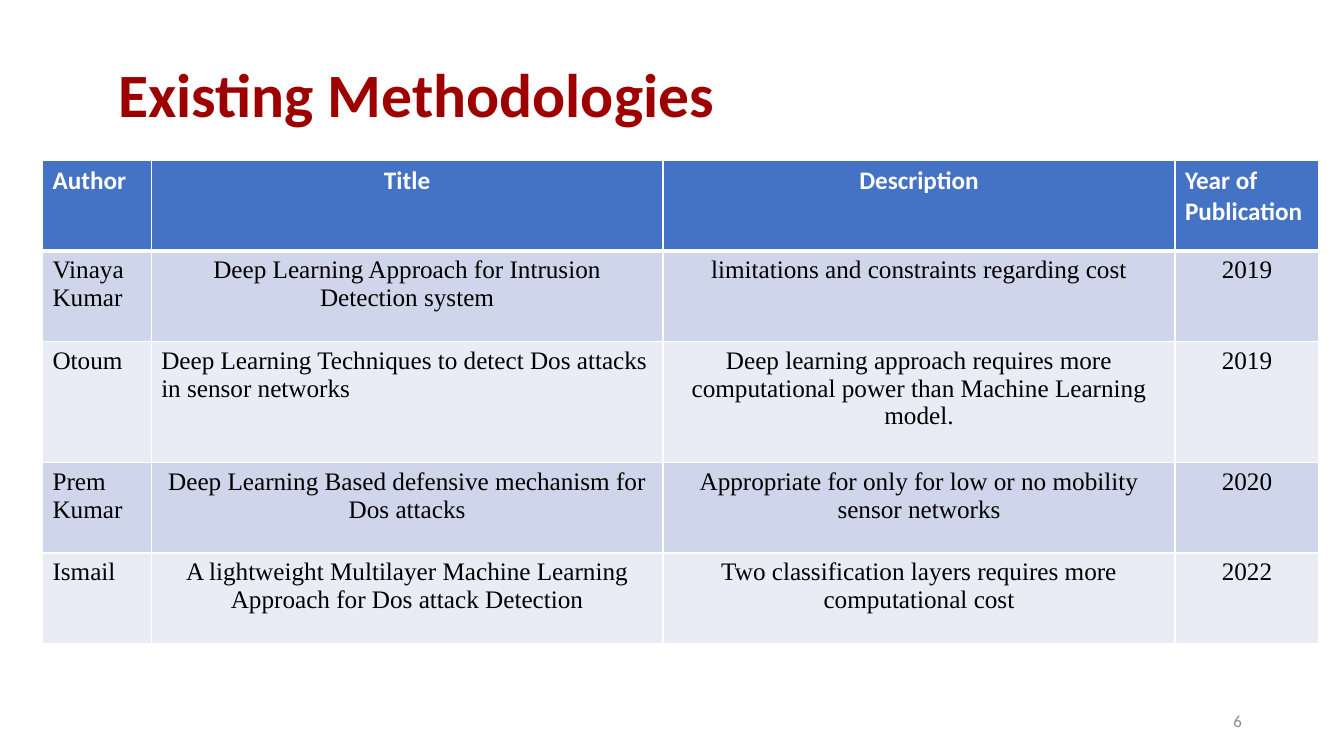
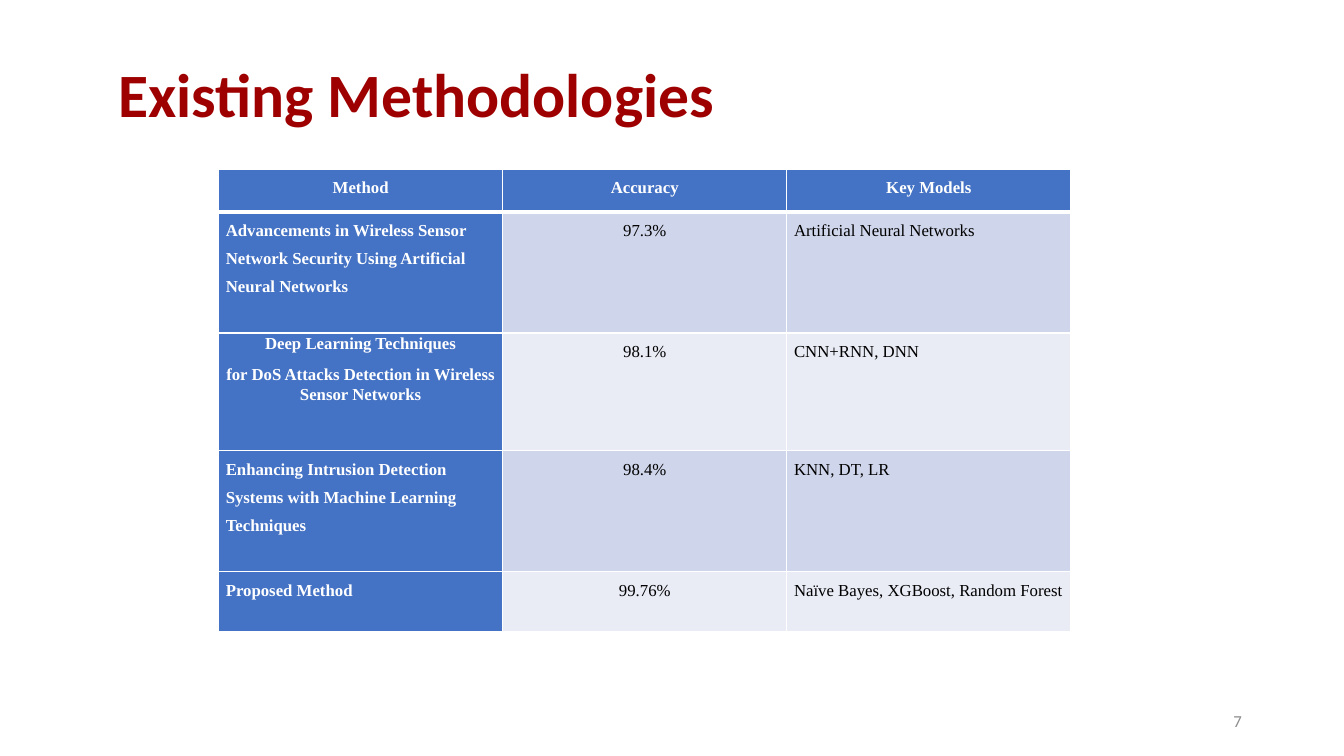
import pptx
import pptx.util
import pptx.dml.color
import pptx.enum.text
import pptx.oxml
import pptx.oxml.ns

Cm = pptx.util.Cm
Pt = pptx.util.Pt
Align = pptx.enum.text.PP_ALIGN
Anchor = pptx.enum.text.MSO_ANCHOR

COLORS = {
    "title": "9E0000",
    "number": "8C8C8C",
    "header": "4472C4",
    "band_dark": "CFD5EA",
    "band_light": "E9EBF5",
    "white": "FFFFFF",
    "black": "000000",
}

# Shared text formats
TITLE_FONT = {"name": "Calibri", "size": Pt(44), "bold": True}
NUMBER_FONT = {"name": "Calibri", "size": Pt(12), "bold": False}

# Table formats: fonts, paragraphs, cell margins and columns filled like the header
LITERATURE_STYLE = {
    "header_font": {"name": "Calibri", "size": Pt(18), "bold": True},
    "body_font": {"name": "Times New Roman", "size": Pt(18), "bold": False},
    "paragraph": {},
    "cell": {},
    "header_columns": 0,
}
ACCURACY_STYLE = {
    "header_font": {"name": "Times New Roman", "size": Pt(12), "bold": True},
    "body_font": {"name": "Times New Roman", "size": Pt(12), "bold": False},
    "paragraph": {"line_spacing": 1.5, "space_after": Pt(8)},
    "cell": {"margin_left": Cm(0.18), "margin_right": Cm(0.18),
             "margin_top": 0, "margin_bottom": 0},
    "header_columns": 1,
}

# Table contents
LITERATURE_ROWS = [
    ["Author", "Title", "Description", "Year of Publication"],
    ["Vinaya Kumar", "Deep Learning Approach for Intrusion Detection system",
     "limitations and constraints regarding cost", "2019"],
    ["Otoum", "Deep Learning Techniques to detect Dos attacks in sensor networks",
     "Deep learning approach requires more computational power than "
     "Machine Learning model.", "2019"],
    ["Prem Kumar", "Deep Learning Based defensive mechanism for Dos attacks",
     "Appropriate for only for low or no mobility sensor networks", "2020"],
    ["Ismail",
     "A lightweight Multilayer Machine Learning Approach for Dos attack Detection",
     "Two classification layers requires more computational cost", "2022"],
]
ACCURACY_ROWS = [
    ["Method", "Accuracy", "Key Models"],
    ["Advancements in Wireless Sensor Network Security Using Artificial "
     "Neural Networks", "97.3%", "Artificial Neural Networks"],
    ["Deep Learning Techniques\n"
     "for DoS Attacks Detection in Wireless Sensor Networks",
     "98.1%", "CNN+RNN, DNN"],
    ["Enhancing Intrusion Detection Systems with Machine Learning Techniques",
     "98.4%", "KNN, DT, LR"],
    ["Proposed Method", "99.76%", "Naïve Bayes, XGBoost, Random Forest"],
]


def apply_format(target, values):
    for name, value in values.items():
        setattr(target, name, value)


def rgb(color):
    return pptx.dml.color.RGBColor.from_string(COLORS[color])


def format_text(text_frame, font, color, paragraph_format):
    for paragraph in text_frame.paragraphs:
        apply_format(paragraph, paragraph_format)
        for run in paragraph.runs:
            apply_format(run.font, font)
            run.font.color.rgb = rgb(color)


def add_text(slide, box, text, font, color, paragraph_format):
    shape = slide.shapes.add_textbox(*(Cm(length) for length in box))
    text_frame = shape.text_frame
    apply_format(text_frame, {"word_wrap": True, "vertical_anchor": Anchor.MIDDLE})
    text_frame.text = text
    format_text(text_frame, font, color, paragraph_format)


def set_borders(cell, widths):
    """Draw white borders; must run before the fill is set."""
    properties = cell._tc.get_or_add_tcPr()
    for side, width in widths.items():
        properties.append(pptx.oxml.parse_xml(
            f'<a:ln{side} {pptx.oxml.ns.nsdecls("a")} w="{Pt(width)}"><a:solidFill>'
            f'<a:srgbClr val="{COLORS["white"]}"/></a:solidFill></a:ln{side}>'))


def add_table(slide, position, widths, heights, rows, style, alignments, exceptions):
    """Alignments go by column; exceptions hold paragraph formats by (row, column)."""
    left, top = position
    table = slide.shapes.add_table(
        len(rows), len(widths), Cm(left), Cm(top),
        Cm(sum(widths)), Cm(sum(heights))).table
    apply_format(table, {"first_row": False, "horz_banding": False})
    for column, width in zip(table.columns, widths):
        column.width = Cm(width)
    for row, height in zip(table.rows, heights):
        row.height = Cm(height)

    for row_index, texts in enumerate(rows):
        band = "band_dark" if row_index % 2 else "band_light"
        for column_index, text in enumerate(texts):
            cell = table.cell(row_index, column_index)
            is_header = row_index == 0 or column_index < style["header_columns"]
            apply_format(cell, style["cell"])
            set_borders(cell, {"L": 1, "R": 1,
                               "T": 3 if row_index == 1 else 1,
                               "B": 3 if row_index == 0 else 1})
            cell.fill.solid()
            cell.fill.fore_color.rgb = rgb("header" if is_header else band)
            cell.text_frame.text = text
            format_text(
                cell.text_frame,
                style["header_font" if is_header else "body_font"],
                "white" if is_header else "black",
                {"alignment": alignments[column_index], **style["paragraph"],
                 **exceptions.get((row_index, column_index), {})})


def add_methodology_slide(presentation, number):
    slide = presentation.slides.add_slide(presentation.slide_layouts[6])
    add_text(slide, (2.74, 0.61, 26.67, 3.68), "Existing Methodologies",
             TITLE_FONT, "title", {"line_spacing": 0.9})
    add_text(slide, (23.93, 17.65, 7.62, 1.02), str(number),
             NUMBER_FONT, "number", {"alignment": Align.RIGHT})
    return slide


def main():
    presentation = pptx.Presentation()
    apply_format(presentation, {"slide_width": Cm(33.87), "slide_height": Cm(19.05)})

    # Literature overview
    slide = add_methodology_slide(presentation, 6)
    add_table(slide, (1.07, 4.05), [2.74, 12.9, 12.9, 3.63],
              [2.28, 2.28, 3.05, 2.28, 2.28], LITERATURE_ROWS, LITERATURE_STYLE,
              [Align.LEFT, Align.CENTER, Align.CENTER, Align.CENTER],
              {(0, 3): {"alignment": Align.LEFT},
               (2, 1): {"alignment": Align.LEFT}})

    # Accuracy comparison
    slide = add_methodology_slide(presentation, 7)
    add_table(slide, (5.51, 4.27), [7.16] * 3,
              [1.07, 3.05, 2.97, 3.05, 1.5], ACCURACY_ROWS, ACCURACY_STYLE,
              [Align.LEFT, Align.CENTER, Align.JUSTIFY],
              {(0, 0): {"alignment": Align.CENTER},
               (0, 2): {"alignment": Align.CENTER},
               (2, 0): {"alignment": Align.CENTER, "line_spacing": 1.07},
               (4, 0): {"alignment": Align.JUSTIFY}})

    presentation.save("out.pptx")


if __name__ == "__main__":
    main()
